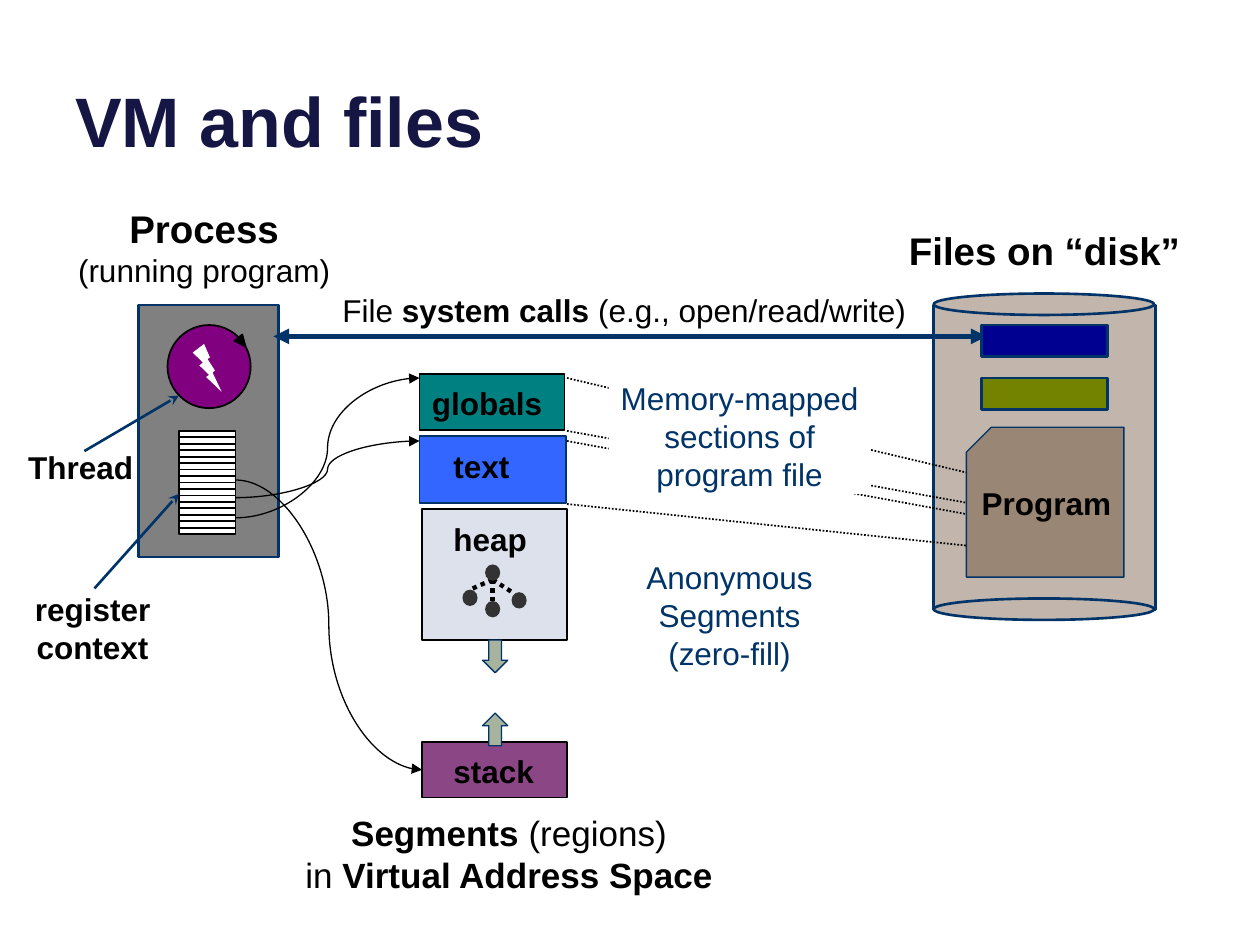
from pptx import Presentation
from pptx import util as u
from pptx.dml.color import RGBColor
from pptx.enum import dml, shapes, text
from pptx.oxml.ns import qn
from lxml import etree

THEME = {
    "font": "Arial",
    "title": "161645", "ink": "000000", "navy": "003367", "white": "FFFFFF",
    "gray": "808080", "purple": "800080", "disk": "C2B6AC", "blue": "000090",
    "olive": "738300", "tan": "998674", "plum": "8B4785", "pale": "DCE1EC",
    "teal": "008080", "azure": "3366FF", "sage": "A8B39D", "node": "333333",
    "huge": 40, "head": 22, "big": 20, "body": 18,
}
KIND = shapes.MSO_SHAPE
TOP, MID, LOW = text.MSO_ANCHOR.TOP, text.MSO_ANCHOR.MIDDLE, text.MSO_ANCHOR.BOTTOM
LEFT, MIDST = text.PP_ALIGN.LEFT, text.PP_ALIGN.CENTER

# Shapes: kind, (left, top, width, height), fill, line colour, line width
PROC = (KIND.RECTANGLE, (1.1, 2.42, 1.11, 2), "gray", "navy", 1.5)
THREAD = [
    (KIND.OVAL, (1.33, 2.58, 0.66, 0.66), "purple", "ink", 1),
    (KIND.LIGHTNING_BOLT, (1.53, 2.73, 0.23, 0.38), "white", None, 0),
    (KIND.ISOSCELES_TRIANGLE, (1.88, 2.67, 0.08, 0.09), "ink", "ink", 1),
]
DISK = [
    (KIND.RECTANGLE, (7.41, 2.42, 1.76, 2.42), "disk", "navy", 1.5),
    (KIND.OVAL, (7.41, 2.33, 1.75, 0.17), "disk", "navy", 1.5),
    (KIND.OVAL, (7.41, 4.75, 1.75, 0.17), "disk", "navy", 1.5),
]
FILES = [
    (KIND.RECTANGLE, (7.79, 2.58, 1, 0.25), "blue", "navy", 1.5),
    (KIND.RECTANGLE, (7.79, 3, 1, 0.25), "olive", "navy", 1.5),
]
PROG = (KIND.SNIP_1_RECTANGLE, (7.67, 3.39, 1.25, 1.19), "tan", "navy", 0.75)
SEGS = [
    (KIND.FLOWCHART_PROCESS, (3.35, 5.89, 1.15, 0.44), "plum", "ink", 1),
    (KIND.FLOWCHART_PROCESS, (3.35, 4.04, 1.15, 1.04), "pale", "ink", 1),
    (KIND.FLOWCHART_PROCESS, (3.33, 2.97, 1.15, 0.44), "teal", "ink", 1),
    (KIND.FLOWCHART_PROCESS, (3.33, 3.46, 1.16, 0.53), "azure", "navy", 1),
]
GROWTH = [
    (KIND.DOWN_ARROW, (3.83, 5.08, 0.2, 0.26), "sage", "navy", 0.75),
    (KIND.UP_ARROW, (3.83, 5.66, 0.2, 0.26), "sage", "navy", 0.75),
]
REGS, REG_TOP, REG_END = 16, 3.42, 4.24

# Lines: start, end
CURVES = [((1.87, 3.81), (3.35, 6.11)), ((1.87, 3.95), (3.33, 3.5)),
          ((1.87, 4.11), (3.33, 3))]
POINTERS = [((1.42, 3.92), (0.75, 4.67)), ((1.42, 3.14), (0.67, 3.58))]
MAPS = [(3, 3.75), (3.42, 3.99), (3.5, 4.08), (4, 4.33)]
ROOT = (3.91, 4.6)
LEAVES = [(3.73, 4.68), (3.91, 4.77), (4.08, 4.71)]
NODES = [(3.67, 4.68), (3.85, 4.77), (4.06, 4.7), (3.85, 4.48)]

# Labels: box, anchor, alignment, wrap, paragraphs of (size, [(words, bold)])
TITLE = ((0.5, -0.37, 9, 1.7), LOW, LEFT, True,
         [("huge", [("VM and files", True)])])
LABELS = [
    ((7, 1.75, 2.58, 0.47), TOP, MIDST, True,
     [("head", [("Files on “disk”", True)])]),
    ((7.67, 3.79, 1.27, 0.41), TOP, MIDST, True, [("body", [("Program", True)])]),
    ((0.33, 1.58, 2.58, 0.78), TOP, MIDST, True,
     [("head", [("Process", True)]), ("body", [("(running program)", False)])]),
    ((2.58, 2.26, 4.75, 0.41), TOP, MIDST, True,
     [("body", [("File", False), (" system calls ", True),
                ("(e.g., open/read/write)", False)])]),
    ((0.17, 4.63, 1.13, 0.71), MID, MIDST, False,
     [("body", [("register", True)]), ("body", [("context", True)])]),
    ((3.33, 3, 1.58, 0.4), MID, LEFT, True, [("body", [("globals", True)])]),
    ((3.5, 4.08, 1.08, 0.4), MID, LEFT, True, [("body", [("heap", True)])]),
    ((3.5, 5.92, 1.08, 0.4), MID, LEFT, True, [("body", [("stack", True)])]),
    ((3.5, 3.5, 1.58, 0.4), MID, LEFT, True, [("body", [("text", True)])]),
    ((2.25, 6.39, 3.58, 0.78), TOP, MIDST, True,
     [("big", [("Segments ", True), ("(regions)", False)]),
      ("big", [("in", False), (" Virtual Address Space", True)])]),
    ((0.12, 3.51, 1.04, 0.4), MID, MIDST, False, [("body", [("Thread", True)])]),
]
NOTES = [
    ((4.83, 3), ["Memory-mapped", "sections of", "program file"]),
    ((4.75, 4.42), ["Anonymous", "Segments", "(zero-fill)"]),
]


def color(name):
    return RGBColor.from_string(THEME[name])


def inches(nums):
    return [u.Inches(n) for n in nums]


def draw(host, kind, box, fill, edge=None, width=0):
    shape = host.add_shape(kind, *inches(box))
    shape.shadow.inherit = False
    shape.fill.solid()
    shape.fill.fore_color.rgb = color(fill)
    if edge:
        shape.line.color.rgb = color(edge)
        shape.line.width = u.Pt(width)
    else:
        shape.line.fill.background()
    return shape


def link(host, start, end, tint, width, head=None, tail=None, dots=False,
         kind=shapes.MSO_CONNECTOR.STRAIGHT):
    wire = host.add_connector(kind, *inches(start + end))
    wire.line.color.rgb = color(tint)
    wire.line.width = u.Pt(width)
    if dots:
        wire.line.dash_style = dml.MSO_LINE.ROUND_DOT
    ln = wire.line._get_or_add_ln()
    for tag, style in (("a:headEnd", head), ("a:tailEnd", tail)):
        if style:
            etree.SubElement(ln, qn(tag)).set("type", style)
    etree.SubElement(wire._element.spPr, qn("a:effectLst"))


def write(shape, anchor, align, wrap, paras, tint):
    frame = shape.text_frame
    frame.word_wrap = wrap
    frame.vertical_anchor = anchor
    for i, (size, runs) in enumerate(paras):
        para = frame.add_paragraph() if i else frame.paragraphs[0]
        para.alignment = align
        for words, bold in runs:
            run = para.add_run()
            run.text = words
            run.font.name = THEME["font"]
            run.font.size = u.Pt(THEME[size])
            run.font.bold = bold
            run.font.color.rgb = color(tint)


def label(host, spec, tint="ink"):
    box, *rest = spec
    write(host.add_textbox(*inches(box)), *rest, tint)


def main():
    prs = Presentation()
    prs.slide_width, prs.slide_height = inches((10, 7.5))
    host = prs.slides.add_slide(prs.slide_layouts[6]).shapes
    label(host, TITLE, "title")

    # Process with its thread
    draw(host, *PROC)
    thread = host.add_group_shape().shapes
    for part in THREAD:
        shape = draw(thread, *part)
    shape.rotation = 141

    # Disk, system calls and files
    for part in DISK:
        draw(host, *part)
    link(host, (7.83, 2.67), (2.17, 2.67), "navy", 3, "triangle", "triangle")
    for part in FILES:
        draw(host, *part)
    draw(host, *PROG)._element.spPr.xfrm.set("flipH", "1")

    # Segments and register stack
    for part in SEGS:
        draw(host, *part)
    regs = host.add_group_shape().shapes
    step = (REG_END - REG_TOP) / REGS
    for i in range(REGS):
        draw(regs, KIND.FLOWCHART_PROCESS, (1.42, REG_TOP + i * step, 0.45, step),
             "white", "ink", 1)
    for start, end in CURVES:
        link(host, start, end, "ink", 0.75, tail="triangle",
             kind=shapes.MSO_CONNECTOR.CURVE)
    for part in GROWTH:
        draw(host, *part)

    # Labels and their pointers
    for spec in LABELS:
        label(host, spec)
    for start, end in POINTERS:
        link(host, start, end, "navy", 1.5, head="stealth")

    # Mappings from segments to the program file
    for near, far in MAPS:
        link(host, (4.5, near), (7.67, far), "ink", 1, dots=True)
    for spot, rows in NOTES:
        note = draw(host, KIND.RECTANGLE, spot + (2.08, 0.92), "white")
        write(note, MID, MIDST, False,
              [("body", [(row, False)]) for row in rows], "navy")

    # Heap objects
    for leaf in LEAVES:
        link(host, ROOT, leaf, "ink", 2.5, dots=True)
    for spot in NODES:
        draw(host, KIND.OVAL, spot + (0.12, 0.13), "node")

    prs.save("out.pptx")


if __name__ == "__main__":
    main()
